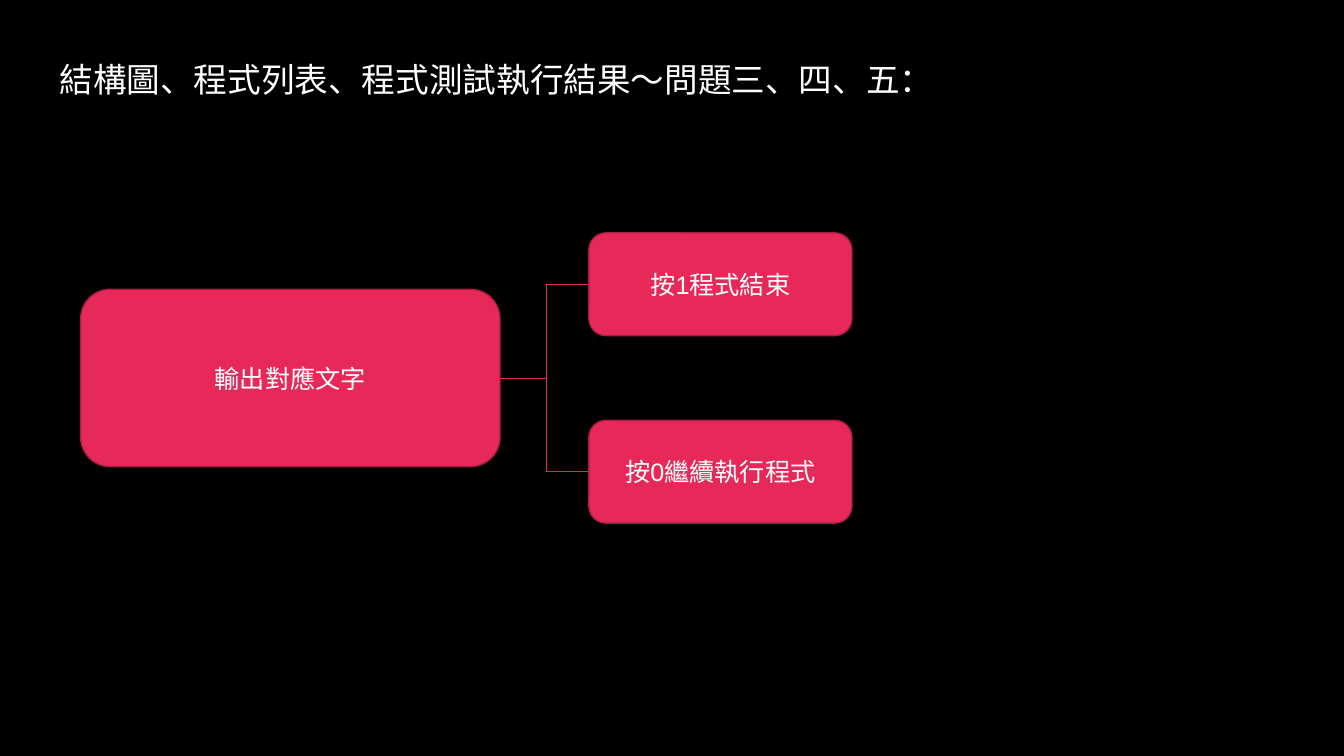
from dataclasses import dataclass
from lxml.etree import SubElement
from pptx import Presentation
from pptx.dml.color import RGBColor as RGB
from pptx.enum.shapes import MSO_CONNECTOR as LINK, MSO_SHAPE as SHAPE
from pptx.enum.text import MSO_ANCHOR as ANCHOR, MSO_AUTO_SIZE as FIT, PP_ALIGN as ALIGN
from pptx.oxml.ns import qn
from pptx.util import Inches, Pt


@dataclass
class Theme:
    back = RGB.from_string("000000")
    ink = RGB.from_string("FFFFFF")
    fill = RGB.from_string("E72959")
    edge = RGB.from_string("AB1E42")
    cjk = "Noto Sans CJK SC"
    body = "Arial"
    head_size = Pt(24)
    box_size = Pt(18)
    edge_width = Pt(1)
    link_width = Pt(0.5)


def add_box(text, left, mid, width, height):
    box = slide.shapes.add_shape(
        SHAPE.ROUNDED_RECTANGLE, Inches(left), Inches(mid - height / 2),
        Inches(width), Inches(height))
    box.shadow.inherit = False
    box.fill.solid()
    box.fill.fore_color.rgb = Theme.fill
    box.line.color.rgb = Theme.edge
    box.line.width = Theme.edge_width
    box.text_frame.vertical_anchor = ANCHOR.MIDDLE
    para = box.text_frame.paragraphs[0]
    para.text = text
    para.alignment = ALIGN.CENTER
    para.font.name = Theme.body
    para.font.size = Theme.box_size
    para.font.color.rgb = Theme.ink
    return box


def add_link(x1, y1, x2, y2):
    link = slide.shapes.add_connector(
        LINK.STRAIGHT, Inches(x1), Inches(y1), Inches(x2), Inches(y2))
    link.line.color.rgb = Theme.fill
    link.line.width = Theme.link_width
    SubElement(link._element.spPr, qn("a:effectLst"))
    return link


# Slide
deck = Presentation()
deck.slide_width, deck.slide_height = Inches(13.33), Inches(7.5)
slide = deck.slides.add_slide(deck.slide_layouts[5])
slide.background.fill.solid()
slide.background.fill.fore_color.rgb = Theme.back

# Title
title = slide.shapes.title
title.left, title.top = Inches(0.49), Inches(0.53)
title.width, title.height = Inches(8.77), Inches(0.5)
frame = title.text_frame
frame.word_wrap = True
frame.auto_size = FIT.SHAPE_TO_FIT_TEXT
frame.vertical_anchor = ANCHOR.TOP
para = frame.paragraphs[0]
para.text = "結構圖、程式列表、程式測試執行結果～問題三、四、五："
para.alignment = ALIGN.LEFT
para.font.name = Theme.cjk
para.font.size = Theme.head_size
para.font.color.rgb = Theme.ink

# Root box, stem and trunk
mid, gap = 3.75, 1.86
trunk, leaf = 5.42, 5.84
root = add_box("輸出對應文字", 0.8, mid, 4.16, 1.76)
stem = add_link(4.96, mid, trunk, mid)
stem.begin_connect(root, 3)
add_link(trunk, mid - gap / 2, trunk, mid + gap / 2)

# Branches
for row, text in enumerate(["按1程式結束", "按0繼續執行程式"]):
    y = mid + (row - 0.5) * gap
    box = add_box(text, leaf, y, 2.61, 1.02)
    add_link(trunk, y, leaf, y).end_connect(box, 1)

deck.save("out.pptx")
